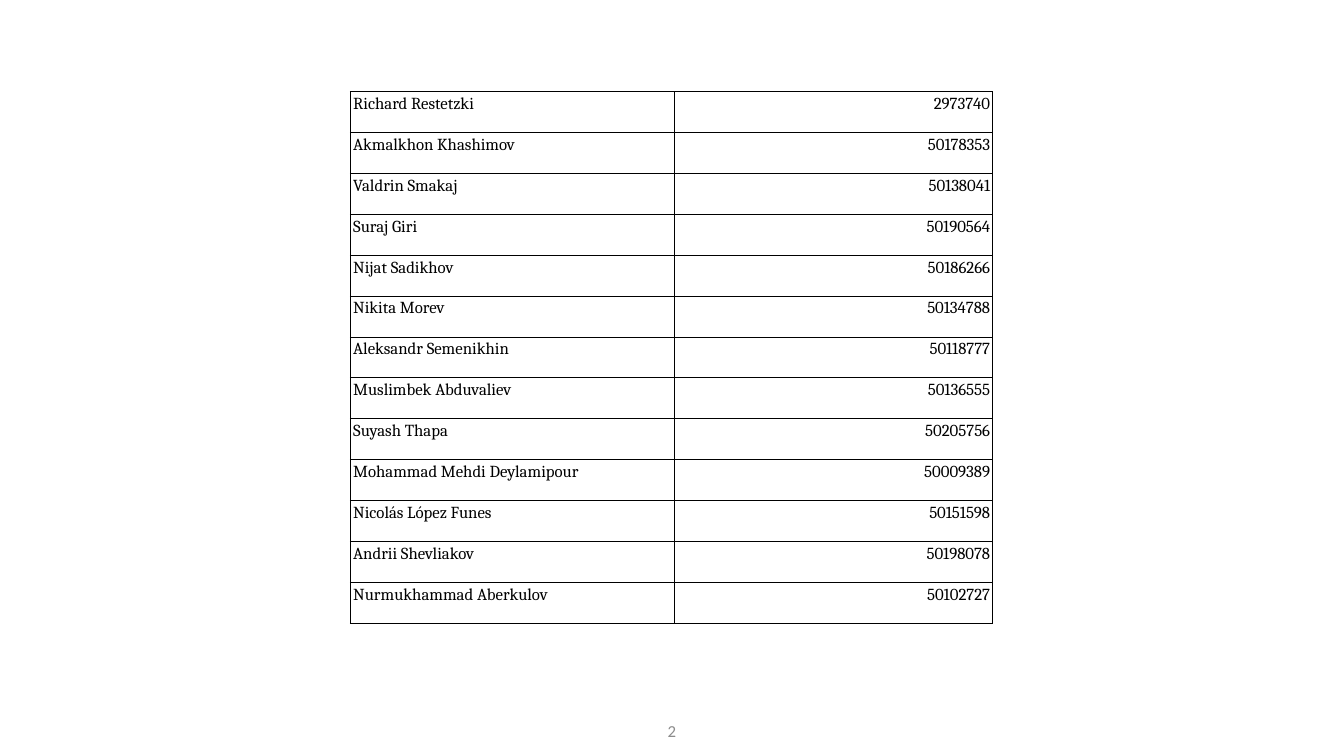
import pptx
import pptx.util
import pptx.dml.color
import pptx.enum.text
import pptx.oxml
import pptx.oxml.ns

Pt = pptx.util.Pt
ALIGN = pptx.enum.text.PP_ALIGN
BLACK = pptx.dml.color.RGBColor(0x00, 0x00, 0x00)
GREY = pptx.dml.color.RGBColor(0x8C, 0x8C, 0x8C)

STUDENTS = [
    ("Richard Restetzki", "2973740"),
    ("Akmalkhon Khashimov", "50178353"),
    ("Valdrin Smakaj", "50138041"),
    ("Suraj Giri", "50190564"),
    ("Nijat Sadikhov", "50186266"),
    ("Nikita Morev", "50134788"),
    ("Aleksandr Semenikhin", "50118777"),
    ("Muslimbek Abduvaliev", "50136555"),
    ("Suyash Thapa", "50205756"),
    ("Mohammad Mehdi Deylamipour", "50009389"),
    ("Nicolás López Funes", "50151598"),
    ("Andrii Shevliakov", "50198078"),
    ("Nurmukhammad Aberkulov", "50102727"),
]
COL_WIDTHS = (231.3, 227.7)
ROW_HEIGHT = 29.2
BORDER = Pt(0.75)
CELL_INSET = Pt(2)


def add_text(tf, text, font, color, align):
    p = tf.paragraphs[0]
    p.alignment = align
    r = p.add_run()
    r.text = text
    r.font.name = font
    r.font.size = Pt(12)
    r.font.color.rgb = color


def add_borders(cell):
    tcPr = cell._tc.get_or_add_tcPr()
    for i, side in enumerate(("lnL", "lnR", "lnT", "lnB")):
        tcPr.insert(i, pptx.oxml.parse_xml(
            f'<a:{side} {pptx.oxml.ns.nsdecls("a")} w="{BORDER}">'
            f'<a:solidFill><a:srgbClr val="{BLACK}"/></a:solidFill></a:{side}>'))


prs = pptx.Presentation()
prs.slide_width = Pt(960)
prs.slide_height = Pt(540)
s = prs.slides.add_slide(prs.slide_layouts[6])

# Student table: name and number
table = s.shapes.add_table(
    len(STUDENTS), len(COL_WIDTHS), Pt(250.3), Pt(65.5),
    Pt(sum(COL_WIDTHS)), Pt(ROW_HEIGHT * len(STUDENTS))).table
table.first_row = False
table.horz_banding = False
for col, width in zip(table.columns, COL_WIDTHS):
    col.width = Pt(width)
for row, student in zip(table.rows, STUDENTS):
    row.height = Pt(ROW_HEIGHT)
    for cell, text, align in zip(row.cells, student, (ALIGN.LEFT, ALIGN.RIGHT)):
        cell.margin_left = cell.margin_right = CELL_INSET
        cell.margin_top = cell.margin_bottom = CELL_INSET
        cell.fill.background()
        add_borders(cell)
        add_text(cell.text_frame, text, "Cambria", BLACK, align)

# Page number
sp = s.shapes.add_textbox(Pt(475.2), Pt(514.8), Pt(9.4), Pt(14.4))
tf = sp.text_frame
tf.margin_left = tf.margin_right = tf.margin_top = tf.margin_bottom = 0
tf.word_wrap = True
tf.vertical_anchor = pptx.enum.text.MSO_ANCHOR.MIDDLE
add_text(tf, "2", "Calibri", GREY, ALIGN.CENTER)

prs.save("out.pptx")
